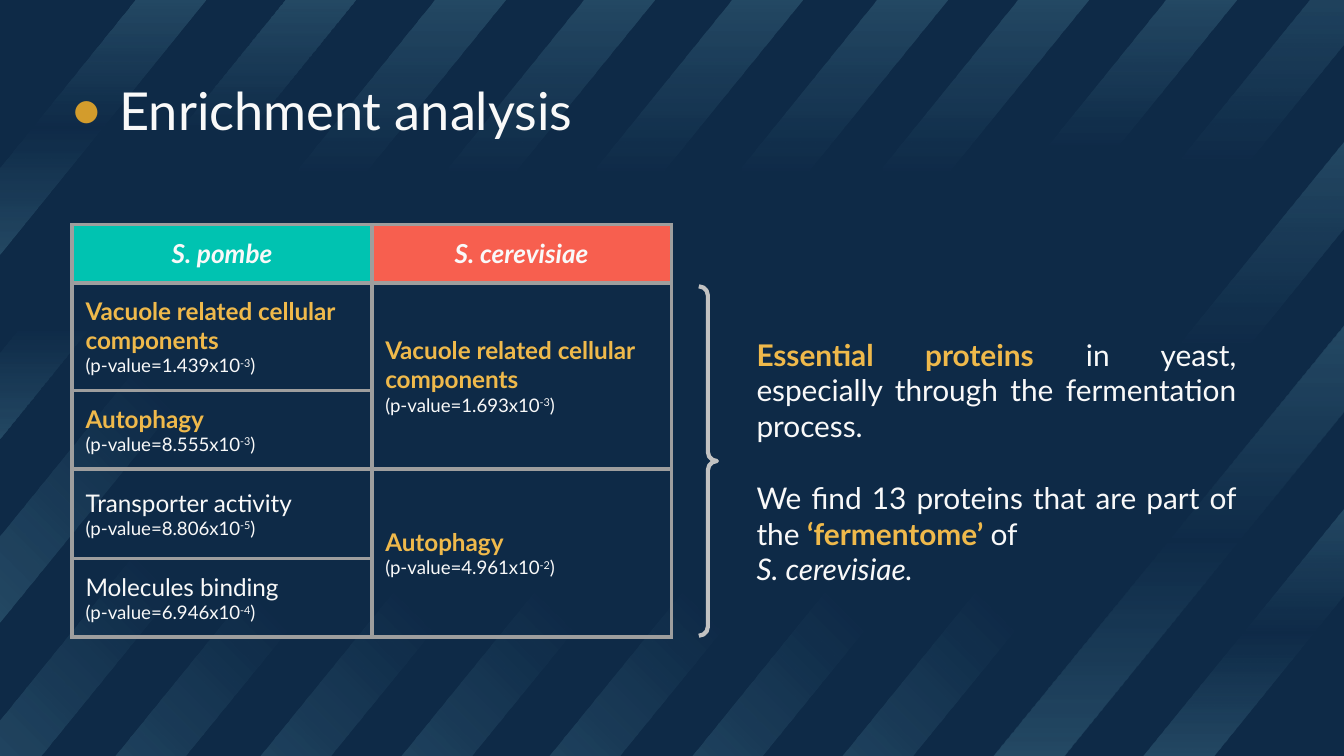
"""Build the enrichment analysis slide with its striped backdrop."""
from pptx import Presentation
from pptx.dml.color import RGBColor
from pptx.enum.shapes import MSO_SHAPE as Shape
from pptx.enum.text import MSO_ANCHOR as Anchor, PP_ALIGN as Align
from pptx.oxml import parse_xml
from pptx.oxml.ns import nsdecls, qn
from pptx.util import Pt

FONT = "Lato"
NAVY, WHITE, GOLD, OCHRE = "0E2A47", "F9F9F9", "EFB94B", "D39C2C"
TEAL, CORAL, GREY, SILVER, SKY = "00C3B1", "F75F4F", "9E9E9E", "C2C2C2", "87D2E4"
SLIDE_WIDTH, SLIDE_HEIGHT = 720, 405
BAND_WIDTH, BAND_HEIGHT, SLOPE = 38, 46.4, 1.23
INSET = 7.2

FADE_UP = ([(0, 18), (84, 0), (100, 0)], 315)
FADE_DOWN = ([(0, 18), (68, 0), (100, 0)], 90)
FADE_DOWN_SHORT = ([(0, 18), (58, 0), (100, 0)], 90)
FADE_DOWN_LONG = ([(0, 18), (82, 0), (100, 0)], 90)
FADE_MIDDLE = ([(0, 18), (50, 0), (100, 18)], 90)
FADE_WIDE_MIDDLE = ([(0, 18), (29, 0), (75, 0), (100, 18)], 90)

LEFT_STRIPES = [
    *[(left, 315.4, 110.7, FADE_UP) for left in (61.9, 139.7, 215.3, 294.5, 370.8, 451.4)],
    (0, 0, 190.8, FADE_WIDE_MIDDLE),
    (0, 0, 110.7, FADE_MIDDLE),
    (0, 295.9, 110.7, FADE_UP),
    (0, 197.3, 110.7, FADE_UP),
    *[(left, 0, 110.7, FADE_DOWN) for left in (160.6, 240.5, 319.7, 397.4, 473)],
    (552.2, 0, 110.7, FADE_DOWN_SHORT),
]
RIGHT_STRIPES = [
    (-23, 108, FADE_DOWN_LONG),
    (75.6, 108, FADE_DOWN_LONG),
    (272.2, 108, FADE_MIDDLE),
    (174.2, 188, FADE_MIDDLE),
]
CELLS = [
    (1, 0, "Vacuole related cellular components", "1.439", "-3", True),
    (1, 1, "Vacuole related cellular components", "1.693", "-3", True),
    (2, 0, "Autophagy", "8.555", "-3", True),
    (3, 0, "Transporter activity", "8.806", "-5", False),
    (3, 1, "Autophagy", "4.961", "-2", True),
    (4, 0, "Molecules binding", "6.946", "-4", False),
]


def color(value):
    """Turn a hex string into a colour."""
    return RGBColor.from_string(value)


def add_band(slide, points, fade):
    """Draw an outline filled with a fading gradient."""
    stops, angle = fade
    corners = [(Pt(x), Pt(y)) for x, y in points]
    builder = slide.shapes.build_freeform(*corners[0])
    builder.add_line_segments(corners[1:])
    shape = builder.convert_to_shape()
    shape.shadow.inherit = False
    shape.line.fill.background()
    shape.fill.background()
    stop_list = "".join(
        f'<a:gs pos="{place * 1000}"><a:srgbClr val="{SKY}">'
        f'<a:alpha val="{alpha * 1000}"/></a:srgbClr></a:gs>'
        for place, alpha in stops
    )
    gradient = parse_xml(
        f'<a:gradFill {nsdecls("a")} rotWithShape="1"><a:gsLst>{stop_list}</a:gsLst>'
        f'<a:lin ang="{angle * 60000}" scaled="0"/></a:gradFill>'
    )
    properties = shape.element.spPr
    properties.replace(properties.find(qn("a:noFill")), gradient)


def add_stripes(slide):
    """Draw the diagonal stripes along the slide edges."""
    for left, top, width, fade in LEFT_STRIPES:
        bottom = top + width * SLOPE
        add_band(slide, [(left + width - BAND_WIDTH, top), (left, bottom - BAND_HEIGHT),
                         (left, bottom), (left + width, top)], fade)
    for top, width, fade in RIGHT_STRIPES:
        left, bottom = SLIDE_WIDTH - width, top + width * SLOPE
        add_band(slide, [(SLIDE_WIDTH, top), (left, bottom), (left + BAND_WIDTH, bottom),
                         (SLIDE_WIDTH, top + BAND_HEIGHT)], fade)


def add_run(paragraph, text, size, hex_color=WHITE, bold=False, italic=False):
    """Append a formatted run and return it."""
    run = paragraph.add_run()
    run.text = text
    font = run.font
    font.name, font.size, font.bold, font.italic = FONT, Pt(size), bold, italic
    font.color.rgb = color(hex_color)
    return run


def add_text_box(slide, left, top, width, height):
    """Add a wrapped, vertically centred text box and return its frame."""
    frame = slide.shapes.add_textbox(Pt(left), Pt(top), Pt(width), Pt(height)).text_frame
    frame.word_wrap = True
    frame.vertical_anchor = Anchor.MIDDLE
    frame.margin_left = frame.margin_right = Pt(INSET)
    frame.margin_top = frame.margin_bottom = Pt(INSET)
    return frame


def style_cell(cell):
    """Give a cell its borders, margins and an empty fill."""
    properties = cell._tc.get_or_add_tcPr()
    for side in ("lnL", "lnR", "lnT", "lnB"):
        properties.append(parse_xml(
            f'<a:{side} {nsdecls("a")} w="{Pt(2.25)}"><a:solidFill>'
            f'<a:srgbClr val="{GREY}"/></a:solidFill></a:{side}>'
        ))
    cell.fill.background()
    cell.margin_left = cell.margin_right = Pt(INSET)
    cell.margin_top = cell.margin_bottom = Pt(INSET)
    cell.vertical_anchor = Anchor.MIDDLE


def fill_header(cell, text, hex_color):
    """Write a species name on a coloured header cell."""
    cell.fill.solid()
    cell.fill.fore_color.rgb = color(hex_color)
    paragraph = cell.text_frame.paragraphs[0]
    paragraph.alignment = Align.CENTER
    add_run(paragraph, text, 14, bold=True, italic=True)


def fill_term(cell, term, value, exponent, shared):
    """Write an enriched term above its p-value."""
    frame = cell.text_frame
    add_run(frame.paragraphs[0], term, 13, GOLD if shared else WHITE, bold=shared)
    paragraph = frame.add_paragraph()
    add_run(paragraph, f"(p-value={value}x10", 10)
    power = add_run(paragraph, exponent, 10)
    power.font._element.set("baseline", "30000")
    add_run(paragraph, ")", 10)


def add_enrichment_table(slide):
    """Add the table of enriched terms for both species."""
    heights = [31, 57.5, 42, 48, 42]
    table = slide.shapes.add_table(
        len(heights), 2, Pt(38.7), Pt(120.3), Pt(321), Pt(sum(heights))).table
    table.first_row = table.horz_banding = False
    for row, height in zip(table.rows, heights):
        row.height = Pt(height)
    for cell in table.iter_cells():
        style_cell(cell)
    for row in (1, 3):
        table.cell(row, 1).merge(table.cell(row + 1, 1))
    fill_header(table.cell(0, 0), "S. pombe", TEAL)
    fill_header(table.cell(0, 1), "S. cerevisiae", CORAL)
    for row, column, *content in CELLS:
        fill_term(table.cell(row, column), *content)


def add_brace(slide):
    """Add the brace that links the table to the conclusion."""
    shape = slide.shapes.add_shape(Shape.RIGHT_BRACE, Pt(374.4), Pt(153.4), Pt(9.7), Pt(187.2))
    shape.shadow.inherit = False
    shape.adjustments[0] = shape.adjustments[1] = 0.5
    shape.fill.background()
    shape.line.color.rgb = color(SILVER)
    shape.line.width = Pt(2.25)


def add_conclusion(slide):
    """Add the justified conclusion text."""
    frame = add_text_box(slide, 398.2, 165.6, 271.4, 163.4)
    proteins, fermentome, species = (
        frame.paragraphs[0], frame.add_paragraph(), frame.add_paragraph())
    for paragraph in frame.paragraphs:
        paragraph.alignment = Align.JUSTIFY
    fermentome.space_before = Pt(19.2)
    add_run(proteins, "Essential proteins", 16, GOLD, bold=True)
    add_run(proteins, " in yeast, especially through the fermentation process.", 16)
    add_run(fermentome, "We find 13 proteins that are part of the ", 16)
    add_run(fermentome, "‘fermentome’ ", 16, GOLD, bold=True)
    add_run(fermentome, "of ", 16)
    add_run(species, "S. cerevisiae.", 16, italic=True)


def main():
    """Build and save the slide."""
    presentation = Presentation()
    presentation.slide_width, presentation.slide_height = Pt(SLIDE_WIDTH), Pt(SLIDE_HEIGHT)
    slide = presentation.slides.add_slide(presentation.slide_layouts[6])
    slide.background.fill.solid()
    slide.background.fill.fore_color.rgb = color(NAVY)
    add_stripes(slide)
    title = add_text_box(slide, 30.2, 28.8, 607, 56.9).paragraphs[0]
    add_run(title, "• ", 32, OCHRE)
    add_run(title, "Enrichment analysis", 28)
    add_enrichment_table(slide)
    add_conclusion(slide)
    add_brace(slide)
    presentation.save("out.pptx")


if __name__ == "__main__":
    main()
